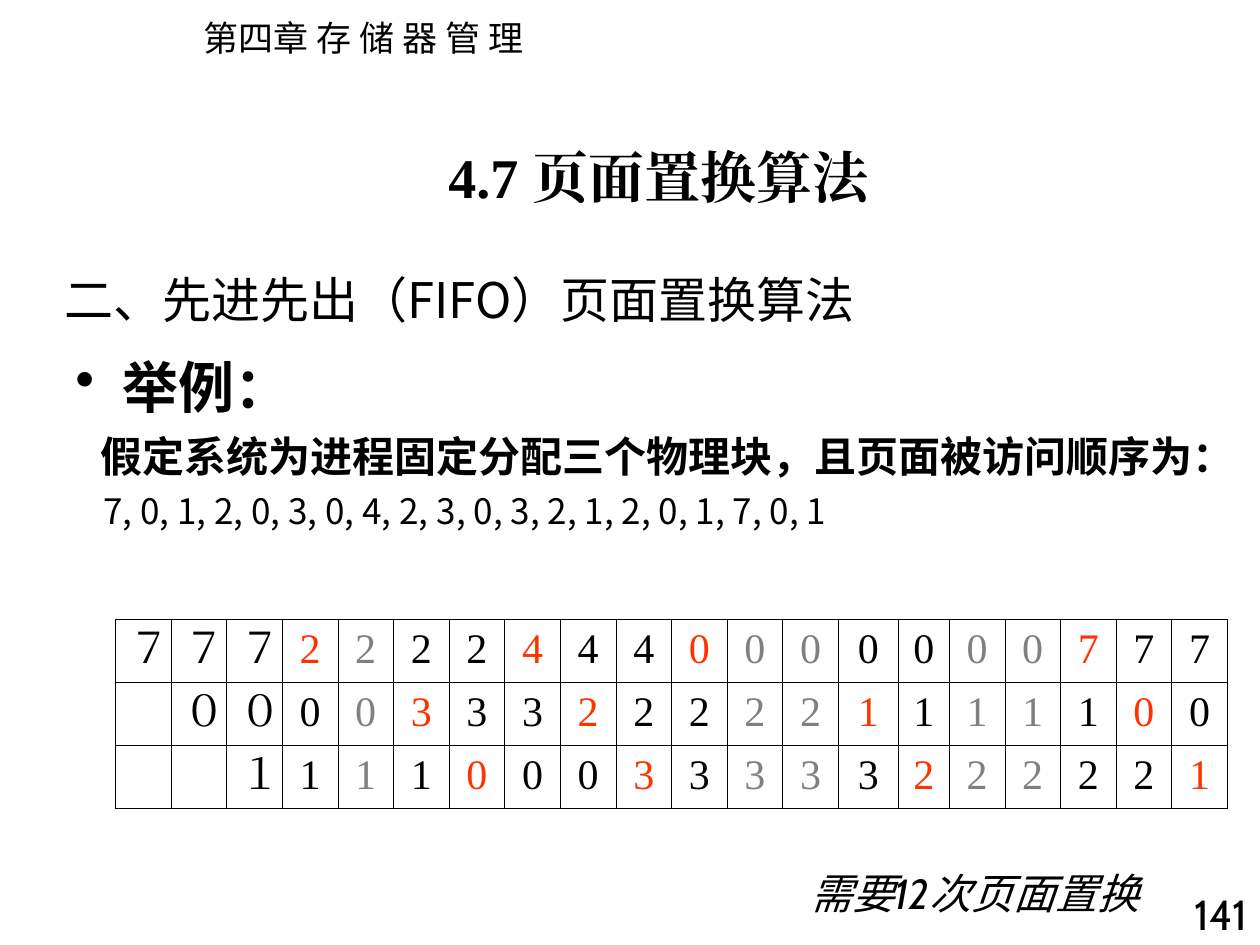
from lxml import etree
from pptx import Presentation
from pptx.dml.color import RGBColor
from pptx.enum.text import MSO_ANCHOR, MSO_AUTO_SIZE, PP_ALIGN
from pptx.oxml.ns import qn
from pptx.util import Pt

LEFT, CENTER, RIGHT = PP_ALIGN.LEFT, PP_ALIGN.CENTER, PP_ALIGN.RIGHT
TOP, MIDDLE = MSO_ANCHOR.TOP, MSO_ANCHOR.MIDDLE
NO_AUTOSIZE = MSO_AUTO_SIZE.NONE

COLORS = {"text": "000000", "replaced": "FF3300", "hit": "808080"}
SANS, SERIF, NUMERIC = "Noto Sans CJK SC", "Times New Roman", "Cabin"

CHAPTER = "第四章 存 储 器 管 理"
SECTION = "4.7 页面置换算法"
TOPIC = "二、先进先出（FIFO）页面置换算法"
EXAMPLE = [
    {"text": "举例：", "size": 32, "bold": True, "before": 8, "margin": 27, "bullet": "•"},
    {"text": "假定系统为进程固定分配三个物理块，且页面被访问顺序为：",
     "size": 24, "bold": True, "before": 6, "margin": 14.4},
    {"text": "7, 0, 1, 2, 0, 3, 0, 4, 2, 3, 0, 3, 2, 1, 2, 0, 1, 7, 0, 1",
     "size": 20, "before": 5, "margin": 16},
]
RESULT = "需要12次页面置换"
PAGE = "141"

FRAMES = [
    "７７７22224440000000777",
    " ００00333222221111100",
    "  １11100033333222221",
]
LOADING_STEPS = 3
HIT_STEPS = {4, 11, 12, 15, 16}
STEP_WIDTH, ODD_WIDTHS, FRAME_HEIGHT = 31.8, {13: 34.2, 14: 29.2}, 36
OUTER_LINE, INNER_LINE = 1.08, 0.45

TEXTS = [
    {"box": (109.2, 6, 202, 32), "wrap": False,
     "lines": [{"text": CHAPTER, "size": 20}]},
    {"box": (30, 144, 600, 54), "anchor": MIDDLE,
     "lines": [{"text": TOPIC, "size": 28}]},
    {"box": (649.4, 504, 70.6, 40),
     "lines": [{"text": PAGE, "size": 24, "font": NUMERIC, "before": 15, "align": RIGHT}]},
    {"box": (36, 198, 684, 138), "lines": EXAMPLE},
    {"box": (456, 492, 216, 65),
     "lines": [{"text": RESULT, "size": 24, "font": NUMERIC, "before": 15, "italic": True}]},
    {"box": (249.2, 78, 269, 46), "wrap": False,
     "lines": [{"text": SECTION, "size": 32, "font": SERIF, "bold": True}]},
]


def write_line(paragraph, line):
    paragraph.alignment = line.get("align", LEFT)
    paragraph.space_before = Pt(line.get("before", 0))
    run = paragraph.add_run()
    run.text = line["text"]
    formats = {
        "size": Pt(line["size"]),
        "name": line.get("font", SANS),
        "bold": line.get("bold", False),
        "italic": line.get("italic", False),
    }
    for key, value in formats.items():
        setattr(run.font, key, value)
    run.font.color.rgb = RGBColor.from_string(COLORS[line.get("color", "text")])
    etree.SubElement(run.font._element, qn("a:ea"), typeface=formats["name"])
    if "margin" in line:
        properties = paragraph._p.get_or_add_pPr()
        margin = Pt(line["margin"])
        properties.set("marL", str(margin))
        properties.set("indent", str(-margin if "bullet" in line else 0))
        if "bullet" in line:
            etree.SubElement(properties, qn("a:buChar"), char=line["bullet"])


def add_text(slide, item):
    frame = slide.shapes.add_textbox(*map(Pt, item["box"])).text_frame
    formats = {
        "word_wrap": item.get("wrap", True),
        "auto_size": NO_AUTOSIZE,
        "vertical_anchor": item.get("anchor", TOP),
    }
    for key, value in formats.items():
        setattr(frame, key, value)
    for index, line in enumerate(item["lines"]):
        write_line(frame.add_paragraph() if index else frame.paragraphs[0], line)


def set_borders(cell, widths):
    properties = cell._tc.get_or_add_tcPr()
    for index, (side, width) in enumerate(widths.items()):
        border = etree.Element(qn(f"a:{side}"), w=str(Pt(width)))
        fill = etree.SubElement(border, qn("a:solidFill"))
        etree.SubElement(fill, qn("a:srgbClr"), val=COLORS["text"])
        properties.insert(index, border)


def page_color(frame, step):
    if step in HIT_STEPS:
        return "hit"
    if step > LOADING_STEPS and frame[step] != frame[step - 1] or step == LOADING_STEPS and frame is FRAMES[0]:
        return "replaced"
    return "text"


def add_frames_table(slide):
    steps = len(FRAMES[0])
    widths = [ODD_WIDTHS.get(step, STEP_WIDTH) for step in range(steps)]
    box = (66, 354, sum(widths), FRAME_HEIGHT * len(FRAMES))
    table = slide.shapes.add_table(len(FRAMES), steps, *map(Pt, box)).table
    table.first_row = table.horz_banding = False
    for column, width in zip(table.columns, widths):
        column.width = Pt(width)
    for row, frame in enumerate(FRAMES):
        for step, page in enumerate(frame):
            cell = table.cell(row, step)
            cell.fill.background()
            edges = {"lnL": step == 0, "lnR": step == steps - 1,
                     "lnT": row == 0, "lnB": row == len(FRAMES) - 1}
            set_borders(cell, {side: OUTER_LINE if outer else INNER_LINE
                               for side, outer in edges.items()})
            if page != " ":
                write_line(cell.text_frame.paragraphs[0], {
                    "text": page, "size": 24, "font": SERIF, "before": 6,
                    "align": CENTER, "color": page_color(frame, step)})


def main():
    deck = Presentation()
    deck.slide_width, deck.slide_height = Pt(720), Pt(540)
    slide = deck.slides.add_slide(deck.slide_layouts[6])
    for item in TEXTS[:4]:
        add_text(slide, item)
    add_frames_table(slide)
    for item in TEXTS[4:]:
        add_text(slide, item)
    deck.save("out.pptx")


if __name__ == "__main__":
    main()
